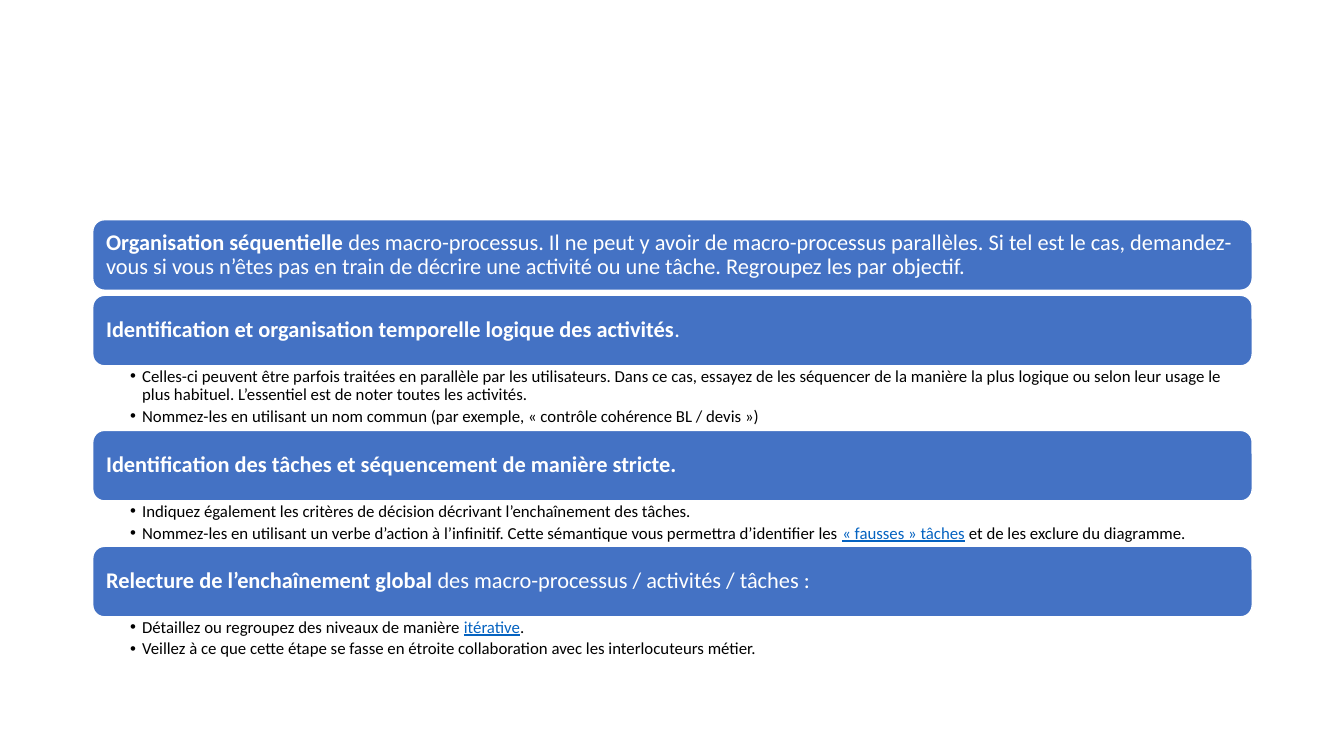
from lxml import etree
from pptx import Presentation
from pptx.dml.color import RGBColor
from pptx.enum.shapes import MSO_SHAPE
from pptx.enum.text import MSO_ANCHOR, PP_ALIGN
from pptx.oxml.ns import qn
from pptx.util import Pt

PX = 9144  # 100 px to the inch
ROUNDED = MSO_SHAPE.ROUNDED_RECTANGLE
MIDDLE, TOP = MSO_ANCHOR.MIDDLE, MSO_ANCHOR.TOP
LEFT = PP_ALIGN.LEFT

BLUE = RGBColor(0x44, 0x72, 0xC4)
WHITE = RGBColor(0xFF, 0xFF, 0xFF)
BLACK = RGBColor(0x00, 0x00, 0x00)
LINK = RGBColor(0x05, 0x63, 0xC1)
FONT = "Calibri"

STEP_X, STEP_W, FIRST_Y = 92, 1150, 218
BAR_H, BAR_GAP = 70, 5
HANGING = 12

# Each step: bold heading, rest of heading, list height, list items.
# An item is a list of (text, is_link) runs.
STEPS = [
    ("Organisation séquentielle",
     " des macro-processus. Il ne peut y avoir de macro-processus parallèles. "
     "Si tel est le cas, demandez-vous si vous n’êtes pas en train de décrire "
     "une activité ou une tâche. Regroupez les par objectif.", 0, []),
    ("Identification et organisation temporelle logique des activités", ".", 64, [
        [("Celles-ci peuvent être parfois traitées en parallèle par les utilisateurs. "
          "Dans ce cas, essayez de les séquencer de la manière la plus logique ou "
          "selon leur usage le plus habituel. L’essentiel est de noter toutes les "
          "activités.", False)],
        [("Nommez-les en utilisant un nom commun (par exemple, "
          "« contrôle cohérence BL / devis »)", False)],
    ]),
    ("Identification des tâches et séquencement de manière stricte.", "", 45, [
        [("Indiquez également les critères de décision décrivant l’enchaînement "
          "des tâches.", False)],
        [("Nommez-les en utilisant un verbe d’action à l’infinitif. Cette sémantique "
          "vous permettra d’identifier les ", False),
         ("« fausses » tâches", True),
         (" et de les exclure du diagramme.", False)],
    ]),
    ("Relecture de l’enchaînement global",
     " des macro-processus / activités / tâches :", 45, [
         [("Détaillez ou regroupez des niveaux de manière ", False),
          ("itérative", True), (".", False)],
         [("Veillez à ce que cette étape se fasse en étroite collaboration avec "
           "les interlocuteurs métier.", False)],
     ]),
]


def set_frame(tf, anchor, left, top, right, bottom):
    tf.word_wrap = True
    tf.vertical_anchor = anchor
    tf.margin_left, tf.margin_top = left * PX, top * PX
    tf.margin_right, tf.margin_bottom = right * PX, bottom * PX


def add_run(p, text, size, color, bold=False, underline=False):
    r = p.add_run()
    r.text = text
    r.font.name = FONT
    r.font.size = Pt(size)
    r.font.color.rgb = color
    r.font.bold = bold
    r.font.underline = underline


def add_bullet(p):
    pPr = p._p.get_or_add_pPr()
    pPr.set("marL", str(HANGING * PX))
    pPr.set("indent", str(-HANGING * PX))
    etree.SubElement(pPr, qn("a:buFont")).set("typeface", "Arial")
    etree.SubElement(pPr, qn("a:buChar")).set("char", "•")


def add_bar(slide, y, heading, rest):
    sp = slide.shapes.add_shape(ROUNDED, STEP_X * PX, y * PX, STEP_W * PX, BAR_H * PX)
    sp.shadow.inherit = False
    sp.fill.solid()
    sp.fill.fore_color.rgb = BLUE
    sp.line.color.rgb = WHITE
    sp.line.width = Pt(1)
    set_frame(sp.text_frame, MIDDLE, 10, 10, 10, 10)
    p = sp.text_frame.paragraphs[0]
    p.alignment = LEFT
    p.line_spacing = 0.9
    add_run(p, heading, 16, WHITE, bold=True)
    if rest:
        add_run(p, rest, 16, WHITE)


def add_list(slide, y, height, items):
    sp = slide.shapes.add_textbox(STEP_X * PX, y * PX, STEP_W * PX, height * PX)
    tf = sp.text_frame
    set_frame(tf, TOP, 37, 2, 12, 2)
    for i, runs in enumerate(items):
        p = tf.add_paragraph() if i else tf.paragraphs[0]
        add_bullet(p)
        p.level = 1
        p.line_spacing = 0.9
        p.space_after = Pt(2.4)
        for text, is_link in runs:
            add_run(p, text, 12, LINK if is_link else BLACK, underline=is_link)


def main():
    prs = Presentation()
    prs.slide_width, prs.slide_height = 1333 * PX, 750 * PX
    slide = prs.slides.add_slide(prs.slide_layouts[6])
    y = FIRST_Y
    for heading, rest, list_h, items in STEPS:
        add_bar(slide, y, heading, rest)
        y += BAR_H
        if items:
            add_list(slide, y, list_h, items)
        y += list_h or BAR_GAP
    prs.save("out.pptx")


if __name__ == "__main__":
    main()
